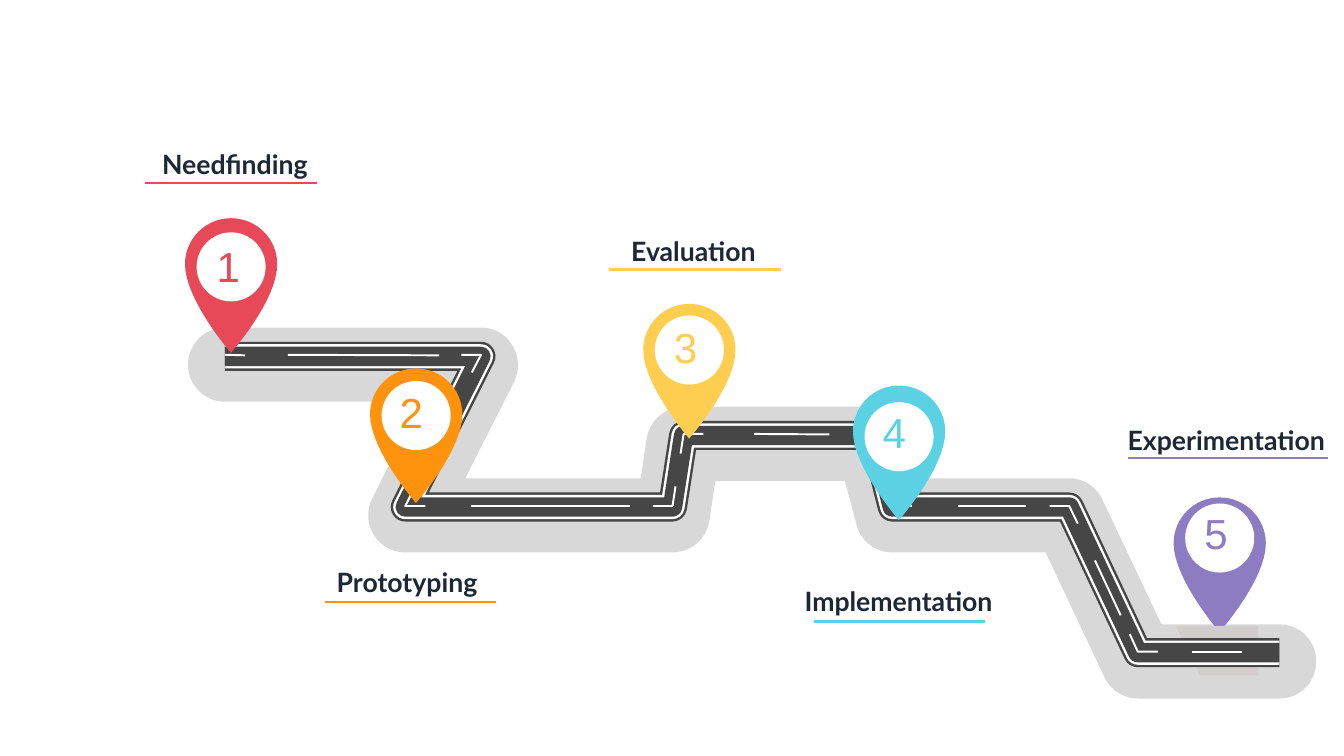
import lxml.etree
import pptx
import pptx.dml.color
import pptx.enum.shapes
import pptx.enum.text
import pptx.oxml.ns
import pptx.util

RGBColor = pptx.dml.color.RGBColor
RED = RGBColor(0xE7, 0x49, 0x58)
ORANGE = RGBColor(0xFF, 0x93, 0x0E)
YELLOW = RGBColor(0xFF, 0xCE, 0x51)
CYAN = RGBColor(0x5A, 0xD2, 0xE4)
PURPLE = RGBColor(0x8E, 0x7C, 0xC3)
INK = RGBColor(0x1C, 0x28, 0x35)
ASPHALT = RGBColor(0x46, 0x46, 0x46)
VERGE = RGBColor(0xD8, 0xD8, 0xD8)
PATCH = RGBColor(0xD1, 0xCD, 0xCC)
WHITE = RGBColor(0xFF, 0xFF, 0xFF)

# The slide is a grid of 26.66 columns by 15 rows of square cells.
COLUMNS, ROWS = 26.66, 15
CELL = pptx.util.Inches(1)
CURVE_STEPS = 16

deck = pptx.Presentation()
deck.slide_width = round(COLUMNS * CELL)
deck.slide_height = round(ROWS * CELL)
page = deck.slides.add_slide(deck.slide_layouts[6])
shapes = page.shapes


def add_outline(segments, fill=None, line=None, width=0, left=0, top=0):
    """Draw straight (x, y) and cubic (six-number) segments, filled or stroked."""
    points = []
    for segment in segments:
        if len(segment) == 2:
            points.append(segment)
            continue
        x0, y0 = points[-1]
        x1, y1, x2, y2, x3, y3 = segment
        for step in range(1, CURVE_STEPS + 1):
            t = step / CURVE_STEPS
            a, b, c, d = (1 - t) ** 3, 3 * t * (1 - t) ** 2, 3 * t * t * (1 - t), t ** 3
            points.append((a * x0 + b * x1 + c * x2 + d * x3,
                           a * y0 + b * y1 + c * y2 + d * y3))
    cells = [(round((left + x) * CELL), round((top + y) * CELL)) for x, y in points]
    builder = shapes.build_freeform(*cells[0])
    builder.add_line_segments(cells[1:], close=fill is not None)
    shape = builder.convert_to_shape()
    shape.shadow.inherit = False
    if fill is not None:
        shape.fill.solid()
        shape.fill.fore_color.rgb = fill
        shape.line.fill.background()
    else:
        shape.fill.background()
        shape.line.color.rgb = line
        shape.line.width = pptx.util.Pt(width)
        stroke = shape.element.spPr.find(pptx.oxml.ns.qn("a:ln"))
        lxml.etree.SubElement(stroke, pptx.oxml.ns.qn("a:round"))


def add_rule(start, end, colour, width):
    """Draw one straight line without a shadow."""
    rule = shapes.add_connector(pptx.enum.shapes.MSO_CONNECTOR.STRAIGHT,
                                *(round(value * CELL) for value in start + end))
    rule.line.color.rgb = colour
    rule.line.width = pptx.util.Pt(width)
    lxml.etree.SubElement(rule.element.spPr, pptx.oxml.ns.qn("a:effectLst"))


# Verge around the road
verge = [
    (25.38, 13.86), (22.57, 13.86), (22.29, 13.86, 22.03, 13.69, 21.91, 13.44),
    (20.74, 10.96), (17.7, 10.96), (17.37, 10.96, 17.07, 10.74, 16.99, 10.41),
    (16.76, 9.54), (14.19, 9.54), (14.07, 10.34),
    (14.01, 10.7, 13.7, 10.96, 13.34, 10.96),
    (8.04, 10.96), (7.79, 10.96, 7.55, 10.83, 7.42, 10.62),
    (7.28, 10.4, 7.27, 10.13, 7.38, 9.9),
    (8.35, 7.97), (4.46, 7.97), (4.06, 7.97, 3.73, 7.64, 3.73, 7.24),
    (3.73, 6.83, 4.06, 6.5, 4.46, 6.5),
    (9.54, 6.5), (9.79, 6.5, 10.03, 6.63, 10.16, 6.85),
    (10.3, 7.07, 10.31, 7.34, 10.2, 7.57),
    (9.23, 9.49), (12.71, 9.49), (12.83, 8.69),
    (12.89, 8.34, 13.2, 8.07, 13.56, 8.07),
    (17.33, 8.07), (17.67, 8.07, 17.96, 8.3, 18.05, 8.62),
    (18.27, 9.49), (21.21, 9.49), (21.49, 9.49, 21.75, 9.66, 21.87, 9.92),
    (23.04, 12.39), (25.38, 12.39), (25.79, 12.39, 26.11, 12.72, 26.11, 13.12),
    (26.11, 13.53, 25.79, 13.86, 25.38, 13.86),
]
add_outline(verge, fill=VERGE)

# Pins: left, top, top of the white disc, colour; the last stands behind the road
PIN = [(1.83, 0.91), (1.83, 1.64, 0.91, 2.67, 0.91, 2.67),
       (0.91, 2.67, 0, 1.62, 0, 0.91), (0, 0.41, 0.41, 0, 0.91, 0),
       (1.42, 0, 1.83, 0.41, 1.83, 0.91)]
DISC = 1.37
pins = [(3.67, 4.33, 4.61, RED), (16.92, 7.65, 7.98, CYAN),
        (7.34, 7.31, 7.56, ORANGE), (12.76, 6.03, 6.26, YELLOW)]
last_pin = (23.28, 9.87, 9.99, PURPLE)

road = [(4.46, 7.07), (9.54, 7.07), (8.04, 10.06), (13.34, 10.06), (13.56, 8.64),
        (17.34, 8.64), (17.7, 10.06), (21.21, 10.06), (22.57, 12.95), (25.38, 12.95)]
dashes = [
    [(4.46, 7.04), (4.86, 7.05)], [(5.71, 7.04), (8.71, 7.05)],
    [(9.15, 7.04), (9.54, 7.04), (9.36, 7.39)], [(8.98, 8.16), (8.4, 9.31)],
    [(8.22, 9.68), (8.04, 10.04), (8.44, 10.04)], [(9.34, 10.04), (12.5, 10.04)],
    [(12.95, 10.04), (13.34, 10.04), (13.4, 9.65)],
    [(13.5, 9), (13.56, 8.61), (13.95, 8.61)], [(14.96, 8.61), (16.45, 8.62)],
    [(16.94, 8.61), (17.34, 8.61), (17.44, 8.99)],
    [(17.6, 9.66), (17.7, 10.04), (18.09, 10.04)], [(19, 10.04), (20.35, 10.04)],
    [(20.82, 10.04), (21.21, 10.04), (21.38, 10.39)], [(21.72, 11.12), (22.23, 12.21)],
    [(22.41, 12.58), (22.57, 12.93), (22.97, 12.93)], [(23.64, 12.93), (24.64, 12.93)],
]

for left, top, disc_top, colour in [last_pin] + pins:
    add_outline(PIN, fill=colour, left=left, top=top)
    disc = shapes.add_shape(
        pptx.enum.shapes.MSO_SHAPE.OVAL,
        *(round(value * CELL) for value in (left + 0.23, disc_top, DISC, DISC)))
    disc.shadow.inherit = False
    disc.fill.solid()
    disc.fill.fore_color.rgb = WHITE
    disc.line.fill.background()
    if colour == PURPLE:
        add_outline([(23.32, 12.42), (24.96, 12.42), (24.96, 13.4), (23.81, 13.4)],
                    fill=PATCH)
        for lane, width in ((ASPHALT, 41.53), (WHITE, 34.58), (ASPHALT, 27.69)):
            add_outline(road, line=lane, width=width)
        for dash in dashes:
            if len(dash) == 2:
                add_rule(*dash, WHITE, 2.78)
            else:
                add_outline(dash, line=WHITE, width=2.78)

# Stages: name, label box left, top, width, underline left, y, length,
# number left, top, colour
LABEL_HEIGHT, NUMBER_WIDTH, NUMBER_HEIGHT = 0.74, 0.86, 1.11
stages = [
    ("Needfinding", 2.07, 2.88, 5.18, 2.88, 3.63, 3.4, 4.2, 4.72, RED),
    ("Prototyping", 5.26, 11.18, 5.63, 6.44, 11.95, 3.4, 7.83, 7.61, ORANGE),
    ("Evaluation", 10.94, 4.61, 5.63, 12.09, 5.35, 3.4, 13.27, 6.32, YELLOW),
    ("Implementation", 15.01, 11.55, 5.63, 16.14, 12.33, 3.4, 17.41, 8.01, CYAN),
    ("Experimentation", 21.97, 8.36, 4.71, 22.37, 9.09, 3.97, 23.79, 10.03, PURPLE),
]
PP_ALIGN, MSO_ANCHOR = pptx.enum.text.PP_ALIGN, pptx.enum.text.MSO_ANCHOR
for number, stage in enumerate(stages, start=1):
    name, left, top, width, rule_left, rule_y, length, number_left, number_top, colour = stage
    add_rule((rule_left, rule_y), (rule_left + length, rule_y), colour, 3.46)
    texts = [
        (name, (left, top, width, LABEL_HEIGHT), "Lato", 38, True, INK,
         PP_ALIGN.CENTER, MSO_ANCHOR.MIDDLE),
        (str(number), (number_left, number_top, NUMBER_WIDTH, NUMBER_HEIGHT),
         "Arial", 60, False, colour, PP_ALIGN.LEFT, MSO_ANCHOR.TOP),
    ]
    for words, area, font, size, bold, ink, align, anchor in texts:
        box = shapes.add_textbox(*(round(value * CELL) for value in area))
        frame = box.text_frame
        frame.word_wrap = True
        frame.auto_size = pptx.enum.text.MSO_AUTO_SIZE.SHAPE_TO_FIT_TEXT
        frame.vertical_anchor = anchor
        para = frame.paragraphs[0]
        para.alignment = align
        span = para.add_run()
        span.text = words
        span.font.name = font
        span.font.size = pptx.util.Pt(size)
        span.font.bold = bold
        span.font.color.rgb = ink

deck.save("out.pptx")
